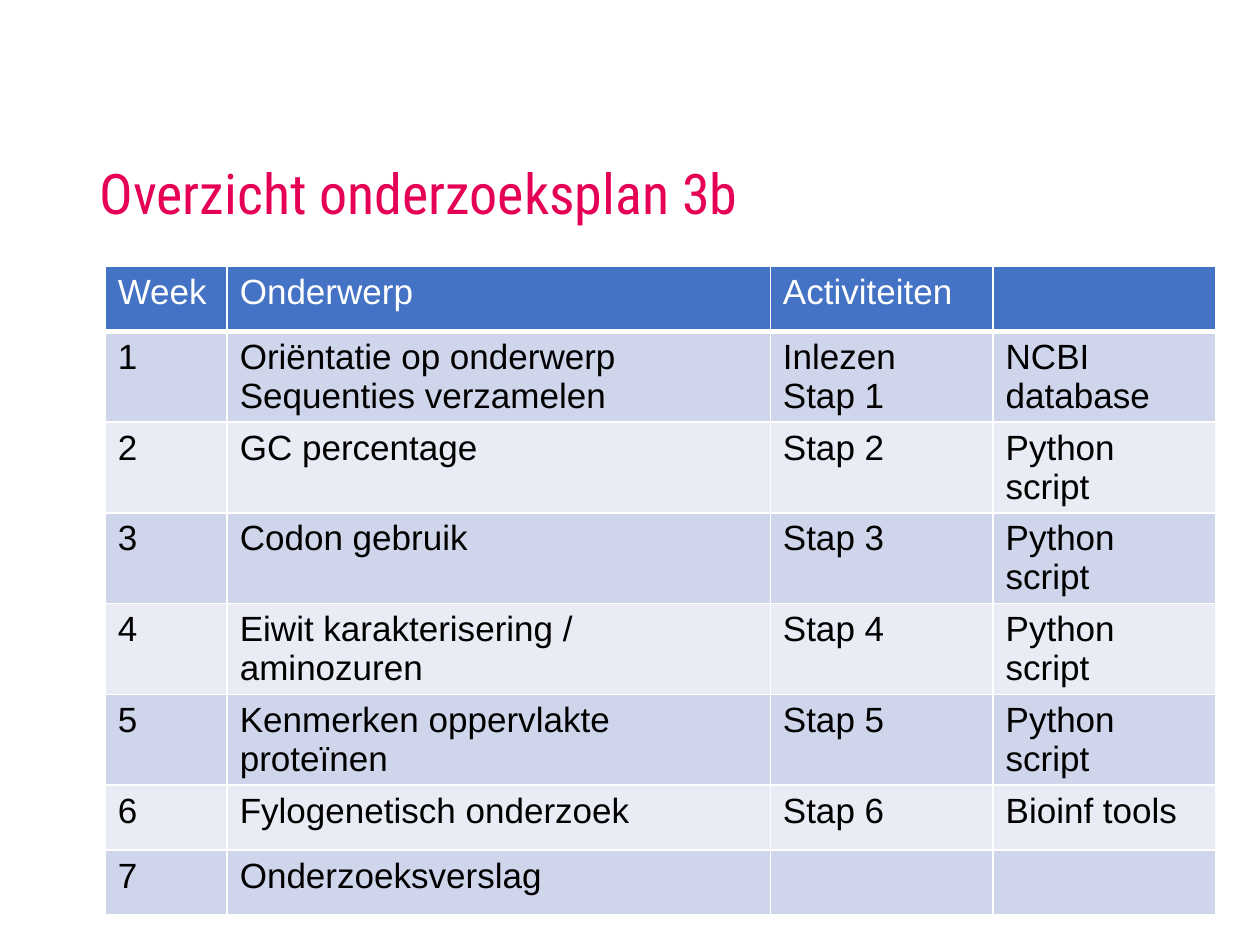
from dataclasses import dataclass

import pptx
import pptx.dml.color
import pptx.enum.text
import pptx.oxml
import pptx.oxml.ns
import pptx.util
from pptx.util import Cm


@dataclass(frozen=True)
class Theme:
    title: str = "E50056"
    header: str = "4472C4"
    bands: tuple[str, str] = ("CFD5EA", "E9EBF5")
    light: str = "FFFFFF"
    dark: str = "000000"
    title_font: str = "Roboto Condensed"
    body_font: str = "Arial"
    title_size: int = 32
    body_size: int = 20
    thin: int = 1
    thick: int = 3


@dataclass(frozen=True)
class Week:
    number: str
    topic: str
    activity: str = ""
    tool: str = ""

    def texts(self) -> tuple[str, ...]:
        return self.number, self.topic, self.activity, self.tool


THEME = Theme()
HEADER = Week("Week", "Onderwerp", "Activiteiten")
WEEKS = [
    Week("1", "Oriëntatie op onderwerp Sequenties verzamelen", "Inlezen\nStap 1", "NCBI database"),
    Week("2", "GC percentage", "Stap 2", "Python script"),
    Week("3", "Codon gebruik", "Stap 3", "Python script"),
    Week("4", "Eiwit karakterisering / aminozuren", "Stap 4", "Python script"),
    Week("5", "Kenmerken oppervlakte proteïnen", "Stap 5", "Python script"),
    Week("6", "Fylogenetisch onderzoek", "Stap 6", "Bioinf tools"),
    Week("7", "Onderzoeksverslag"),
]
COLUMNS = (2.46, 10.95, 4.49, 4.49)
ROW_HEIGHT = 1.31


def write(tf, text: str, *, font: str, size: int, color: str, spacing: float = 1.0) -> None:
    for i, line in enumerate(text.split("\n") if text else []):
        p = tf.paragraphs[0] if i == 0 else tf.add_paragraph()
        p.alignment = pptx.enum.text.PP_ALIGN.LEFT
        p.line_spacing = spacing
        r = p.add_run()
        r.text = line
        r.font.name = font
        r.font.size = pptx.util.Pt(size)
        r.font.bold = False
        r.font.color.rgb = pptx.dml.color.RGBColor.from_string(color)


def add_borders(cell, color: str, widths: dict[str, int]) -> None:
    props = cell._tc.get_or_add_tcPr()
    for side, width in widths.items():
        props.append(pptx.oxml.parse_xml(
            f'<a:ln{side} {pptx.oxml.ns.nsdecls("a")} w="{pptx.util.Pt(width)}">'
            f'<a:solidFill><a:srgbClr val="{color}"/></a:solidFill></a:ln{side}>'
        ))


def draw_row(table, index: int, week: Week) -> None:
    is_header = index == 0
    fill = THEME.header if is_header else THEME.bands[(index - 1) % 2]
    color = THEME.light if is_header else THEME.dark
    bottom = THEME.thick if is_header else THEME.thin
    table.rows[index].height = Cm(ROW_HEIGHT)
    for column, text in enumerate(week.texts()):
        cell = table.cell(index, column)
        write(cell.text_frame, text, font=THEME.body_font, size=THEME.body_size, color=color)
        add_borders(cell, THEME.light, {"L": THEME.thin, "R": THEME.thin, "T": THEME.thin, "B": bottom})
        cell.fill.solid()
        cell.fill.fore_color.rgb = pptx.dml.color.RGBColor.from_string(fill)


def draw_title(s, text: str) -> None:
    sp = s.shapes.title
    sp.left, sp.top, sp.width, sp.height = Cm(1.75), Cm(1.01), Cm(21.9), Cm(3.68)
    tf = sp.text_frame
    tf.auto_size = pptx.enum.text.MSO_AUTO_SIZE.NONE
    tf.vertical_anchor = pptx.enum.text.MSO_ANCHOR.BOTTOM
    write(tf, text, font=THEME.title_font, size=THEME.title_size, color=THEME.title, spacing=0.9)


def draw_schedule(s, weeks: list[Week]) -> None:
    rows = [HEADER, *weeks]
    table = s.shapes.add_table(
        len(rows), len(COLUMNS), Cm(2.12), Cm(5.37), Cm(sum(COLUMNS)), Cm(ROW_HEIGHT * len(rows))
    ).table
    for column, width in zip(table.columns, COLUMNS):
        column.width = Cm(width)
    for index, week in enumerate(rows):
        draw_row(table, index, week)


def main() -> None:
    prs = pptx.Presentation()
    prs.slide_width, prs.slide_height = Cm(25.4), Cm(19.05)
    s = prs.slides.add_slide(prs.slide_layouts[5])
    draw_title(s, "Overzicht onderzoeksplan 3b")
    draw_schedule(s, WEEKS)
    prs.save("out.pptx")


if __name__ == "__main__":
    main()
